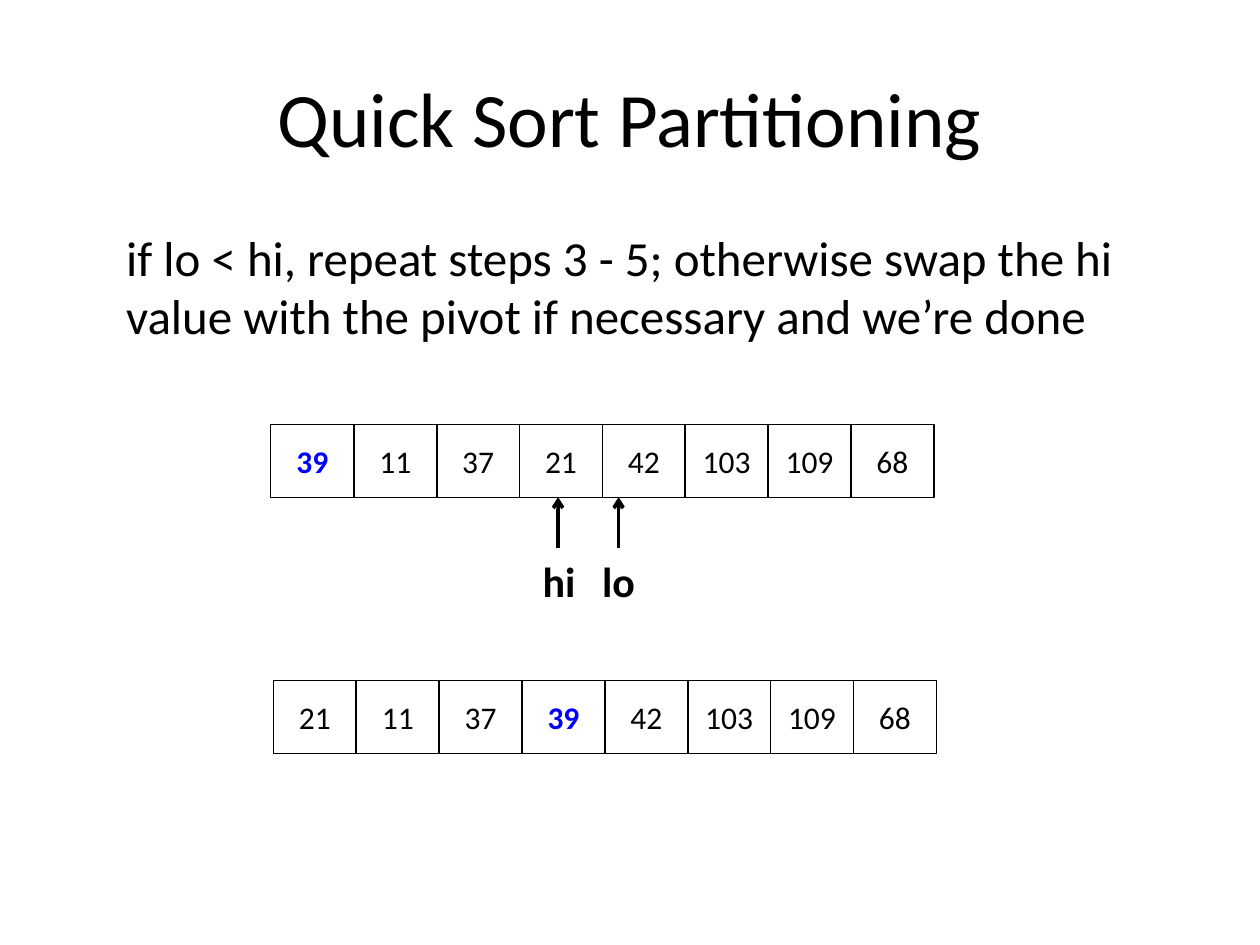
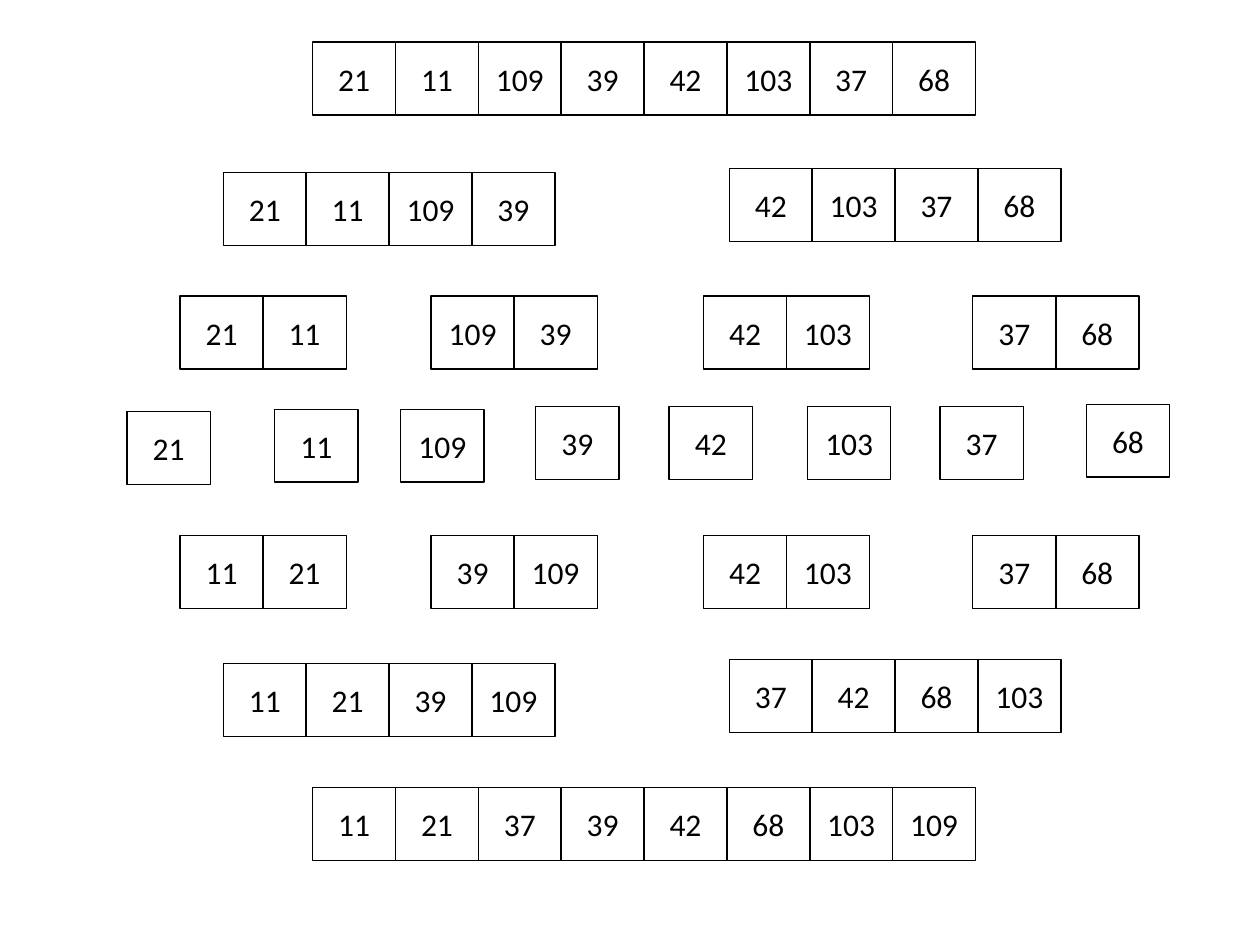
from lxml import etree
from pptx import Presentation
from pptx.dml.color import RGBColor
from pptx.enum.shapes import MSO_CONNECTOR as Connector, MSO_SHAPE as Shape
from pptx.enum.text import MSO_ANCHOR as Anchor, PP_ALIGN as Align
from pptx.oxml.ns import qn
from pptx.util import Cm, Pt

COLORS = {"ink": "000000", "pivot": "0000FF"}
FONT = "Calibri"

# Array cells, in cm
CELL_WIDTH, CELL_HEIGHT, CELL_PITCH = 1.68, 1.47, 1.67


def color(name):
    return RGBColor.from_string(COLORS[name])


def add_text(para, text, size, bold=False, ink="ink"):
    span = para.add_run()
    span.text = text
    span.font.name = FONT
    span.font.size = Pt(size)
    span.font.bold = bold
    span.font.color.rgb = color(ink)


def fill_placeholder(box, place, text, size, align, anchor):
    box.left, box.top, box.width, box.height = (Cm(length) for length in place)
    box.text_frame.vertical_anchor = anchor
    para = box.text_frame.paragraphs[0]
    para.alignment = align
    add_text(para, text, size)
    return para


def remove_bullet(para):
    properties = para._p.get_or_add_pPr()
    properties.set("marL", "0")
    properties.set("indent", "0")
    etree.SubElement(properties, qn("a:buNone"))


def add_cell(page, left, top, value, is_pivot=False):
    box = page.shapes.add_shape(Shape.RECTANGLE, Cm(left), Cm(top),
                                Cm(CELL_WIDTH), Cm(CELL_HEIGHT))
    box.shadow.inherit = False
    box.fill.background()
    box.line.color.rgb = color("ink")
    box.line.width = Pt(0.75)
    box.text_frame.vertical_anchor = Anchor.MIDDLE
    para = box.text_frame.paragraphs[0]
    para.alignment = Align.CENTER
    add_text(para, str(value), 18, is_pivot, "pivot" if is_pivot else "ink")


def add_array(page, left, top, values, pivot=None):
    for index, value in enumerate(values):
        add_cell(page, left + index * CELL_PITCH, top, value, value == pivot)


def add_pointer(page, name, arrow_x, label_left):
    # Upward arrow
    arrow = page.shapes.add_connector(Connector.STRAIGHT, Cm(arrow_x), Cm(11.05),
                                      Cm(arrow_x), Cm(10.02))
    arrow.line.color.rgb = color("ink")
    arrow.line.width = Pt(2)
    etree.SubElement(arrow.line._get_or_add_ln(), qn("a:tailEnd"), type="arrow")
    etree.SubElement(arrow._element.spPr, qn("a:effectLst"))
    # Label below it
    label = page.shapes.add_textbox(Cm(label_left), Cm(11.07), Cm(1.45), Cm(1.27))
    label.text_frame.word_wrap = True
    add_text(label.text_frame.paragraphs[0], name, 24, bold=True)


def build_partitioning(deck):
    page = deck.slides.add_slide(deck.slide_layouts[1])
    fill_placeholder(page.shapes.title, (1.27, 0.76, 22.86, 3.18),
                     "Quick Sort Partitioning", 44, Align.CENTER, Anchor.MIDDLE)
    para = fill_placeholder(
        page.placeholders[1], (2.29, 4.45, 21.84, 2.62),
        "if lo < hi, repeat steps 3 - 5; otherwise swap the hi value "
        "with the pivot if necessary and we’re done",
        28, Align.LEFT, Anchor.TOP)
    remove_bullet(para)

    # Before and after the pivot swap
    add_array(page, 5.46, 8.56, [39, 11, 37, 21, 42, 103, 109, 68], pivot=39)
    add_pointer(page, "lo", 12.47, 11.89)
    add_pointer(page, "hi", 11.25, 10.69)
    add_array(page, 5.51, 13.72, [21, 11, 37, 39, 42, 103, 109, 68], pivot=39)


def build_merge_sort(deck):
    page = deck.slides.add_slide(deck.slide_layouts[6])
    unsorted = [21, 11, 109, 39, 42, 103, 37, 68]
    # Left edges of the parts at each depth
    whole = [6.3]
    halves = [4.5, 14.7]
    pairs = [3.63, 8.69, 14.18, 19.61]
    singles = [2.56, 5.54, 8.08, 10.8, 13.49, 16.28, 18.95, 21.9]
    # Tops of the parts, whether merged yet
    levels = [
        (whole, [0.85], False),
        (halves, [3.48, 3.4], False),
        (pairs, [5.97] * 4, False),
        (singles, [8.3, 8.25, 8.25, 8.2, 8.2, 8.2, 8.2, 8.15], False),
        (pairs, [10.8] * 4, True),
        (halves, [13.38, 13.3], True),
        (whole, [15.88], True),
    ]
    for lefts, tops, merged in levels:
        size = len(unsorted) // len(lefts)
        for index, (left, top) in enumerate(zip(lefts, tops)):
            part = unsorted[index * size:(index + 1) * size]
            add_array(page, left, top, sorted(part) if merged else part)


def main():
    deck = Presentation()
    deck.slide_width, deck.slide_height = Cm(25.4), Cm(19.05)
    build_partitioning(deck)
    build_merge_sort(deck)
    deck.save("out.pptx")


if __name__ == "__main__":
    main()
